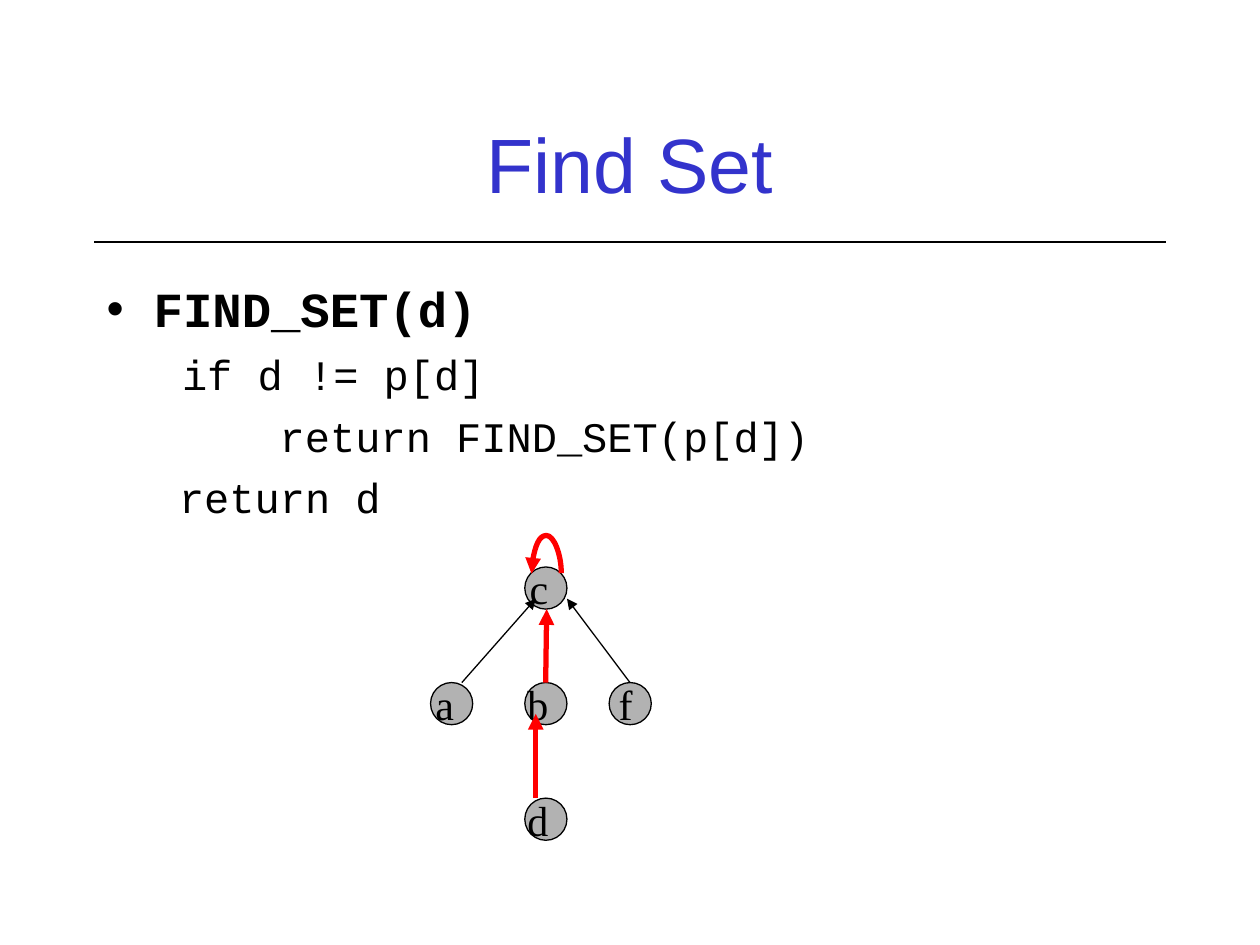
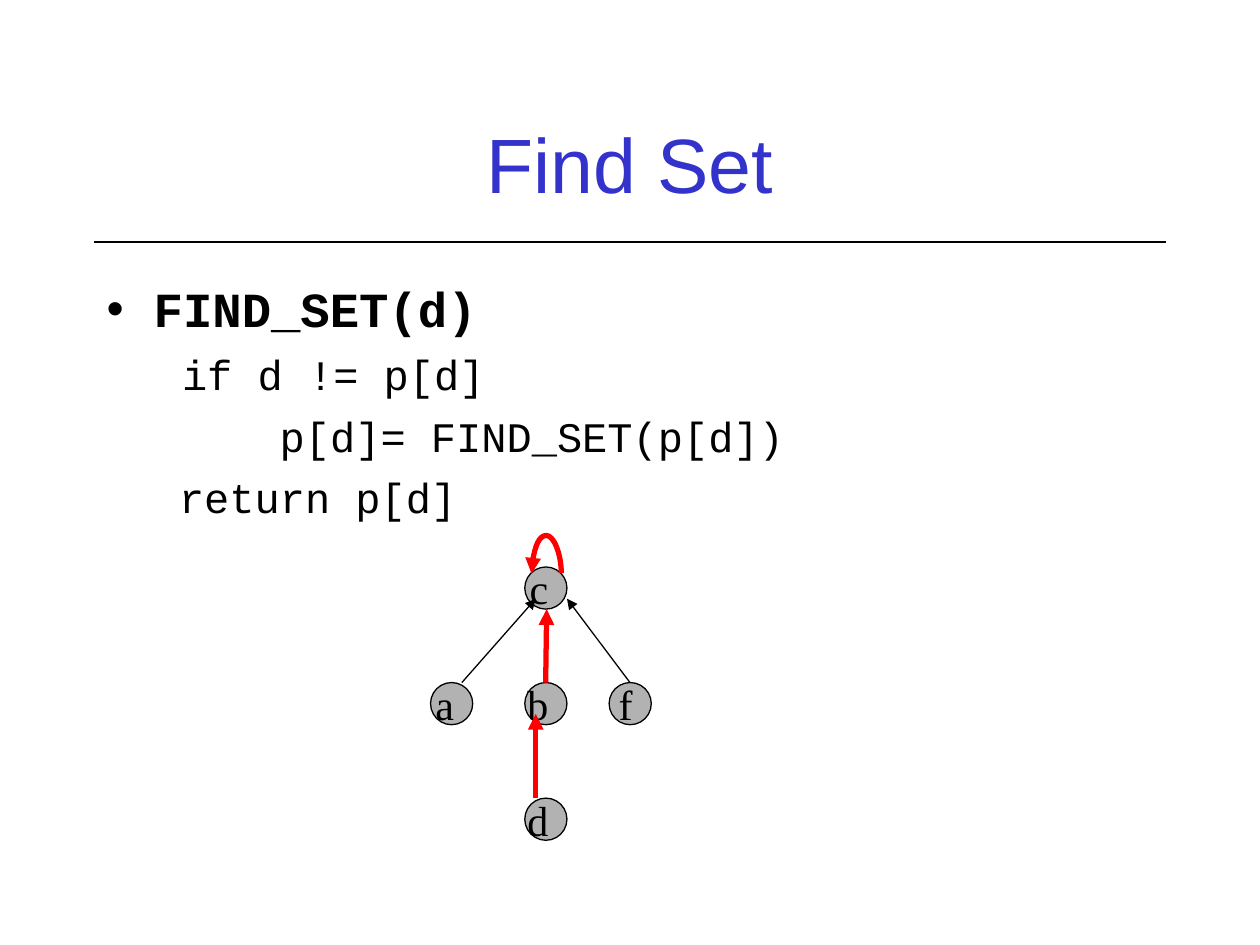
from pptx import Presentation
from pptx.dml.color import RGBColor
from pptx.enum.shapes import MSO_CONNECTOR, MSO_SHAPE
from pptx.enum.text import MSO_ANCHOR, PP_ALIGN
from pptx.oxml.ns import qn
from pptx.util import Cm, Pt
from lxml.etree import SubElement

BLACK, BLUE, GRAY, RED = "000000", "3333CC", "B2B2B2", "FF0000"
SIZE = 0.85
TOP, STEP = 11.43, 2.33
NODES = [("c", 10.58, 0), ("f", 12.28, 1), ("b", 10.58, 1), ("a", 8.68, 1), ("d", 10.58, 2)]
ROW = TOP + STEP
EDGES = [
    (9.31, ROW, 10.8, 12.07, BLACK, 0.75),
    (11, ROW, 11.02, 12.28, RED, 3),
    (12.7, ROW, 11.43, 12.07, BLACK, 0.75),
    (10.8, ROW + STEP, 10.8, 14.39, RED, 3),
]
CODES = [
    ("return FIND_SET(p[d])", "return d"),
    ("p[d]= FIND_SET(p[d])", "return p[d]"),
]


def tint(code):
    return RGBColor.from_string(code)


class Deck:
    def __init__(self):
        self.file = Presentation()
        self.file.slide_width = Cm(25.4)
        self.file.slide_height = Cm(19.05)

    def page(self):
        self.slide = self.file.slides.add_slide(self.file.slide_layouts[6])
        self.shapes = self.slide.shapes

    def style(self, para, face, size, color=BLACK, bold=False):
        font = para.font
        font.name, font.size, font.bold = face, Pt(size), bold
        font.color.rgb = tint(color)

    def box(self, top, high, anchor):
        frame = self.shapes.add_textbox(Cm(1.9), Cm(top), Cm(21.59), Cm(high)).text_frame
        frame.word_wrap = True
        frame.vertical_anchor = anchor
        return frame

    def title(self, text):
        para = self.box(1.69, 3.18, MSO_ANCHOR.MIDDLE).paragraphs[0]
        para.text = text
        para.alignment = PP_ALIGN.CENTER
        self.style(para, "Arial", 44, BLUE)

    def code(self, head, lines):
        frame = self.box(5.5, 11.43, MSO_ANCHOR.TOP)
        para = frame.paragraphs[0]
        para.text = head
        para.space_before = Pt(5.6)
        self.style(para, "Courier New", 28, bold=True)
        props = para._p.get_or_add_pPr()
        props.set("marL", str(Cm(0.95)))
        props.set("indent", str(Cm(-0.95)))
        SubElement(props, qn("a:buFont"), typeface="Arial")
        SubElement(props, qn("a:buChar"), char="•")
        props.append(props.find(qn("a:defRPr")))
        for text, left in lines:
            para = frame.add_paragraph()
            para.text = text
            para.space_before = Pt(6.3)
            self.style(para, "Courier New", 24)
            para._p.get_or_add_pPr().set("marL", str(Cm(left)))

    def node(self, text, left, top):
        oval = self.shapes.add_shape(MSO_SHAPE.OVAL, Cm(left), Cm(top), Cm(SIZE), Cm(SIZE))
        oval.shadow.inherit = False
        oval.fill.solid()
        oval.fill.fore_color.rgb = tint(GRAY)
        oval.line.color.rgb = tint(BLACK)
        oval.line.width = Pt(0.75)
        frame = oval.text_frame
        frame.word_wrap = True
        frame.vertical_anchor = MSO_ANCHOR.MIDDLE
        para = frame.paragraphs[0]
        para.text = text
        para.alignment = PP_ALIGN.CENTER
        para._p.get_or_add_pPr().set("rtl", "1")
        self.style(para, "Times New Roman", 24)

    def link(self, x1, y1, x2, y2, color=BLACK, width=0.75, head=True,
             kind=MSO_CONNECTOR.STRAIGHT):
        line = self.shapes.add_connector(kind, Cm(x1), Cm(y1), Cm(x2), Cm(y2))
        line.line.color.rgb = tint(color)
        line.line.width = Pt(width)
        if head:
            SubElement(line.line._get_or_add_ln(), qn("a:tailEnd"), type="triangle")
        props = line._element.spPr
        SubElement(props, qn("a:effectLst"))
        return props

    def loop(self, x, y, span, rise):
        thin = 0.01
        props = self.link(x, y - span / 2, x + thin, y + span / 2, RED, 3,
                          kind=MSO_CONNECTOR.CURVE)
        props.find(qn("a:xfrm")).set("rot", "5400000")
        guides = props.find(qn("a:prstGeom")).get_or_add_avLst()
        bend = round(-rise / thin * 100000)
        SubElement(guides, qn("a:gd"), name="adj1", fmla=f"val {bend}")

    def tree(self):
        for text, left, row in NODES:
            self.node(text, left, TOP + row * STEP)
        self.loop(11.01, 11.56, 0.6, 0.76)
        for edge in EDGES:
            self.link(*edge)


def main():
    deck = Deck()
    for inner, last in CODES:
        deck.page()
        deck.link(1.9, 4.88, 23.5, 4.88, head=False)
        deck.title("Find Set")
        deck.code("FIND_SET(d)", [("if d != p[d]", 1.52), (inner, 3.49), (last, 1.46)])
        deck.tree()
    deck.file.save("out.pptx")


if __name__ == "__main__":
    main()
